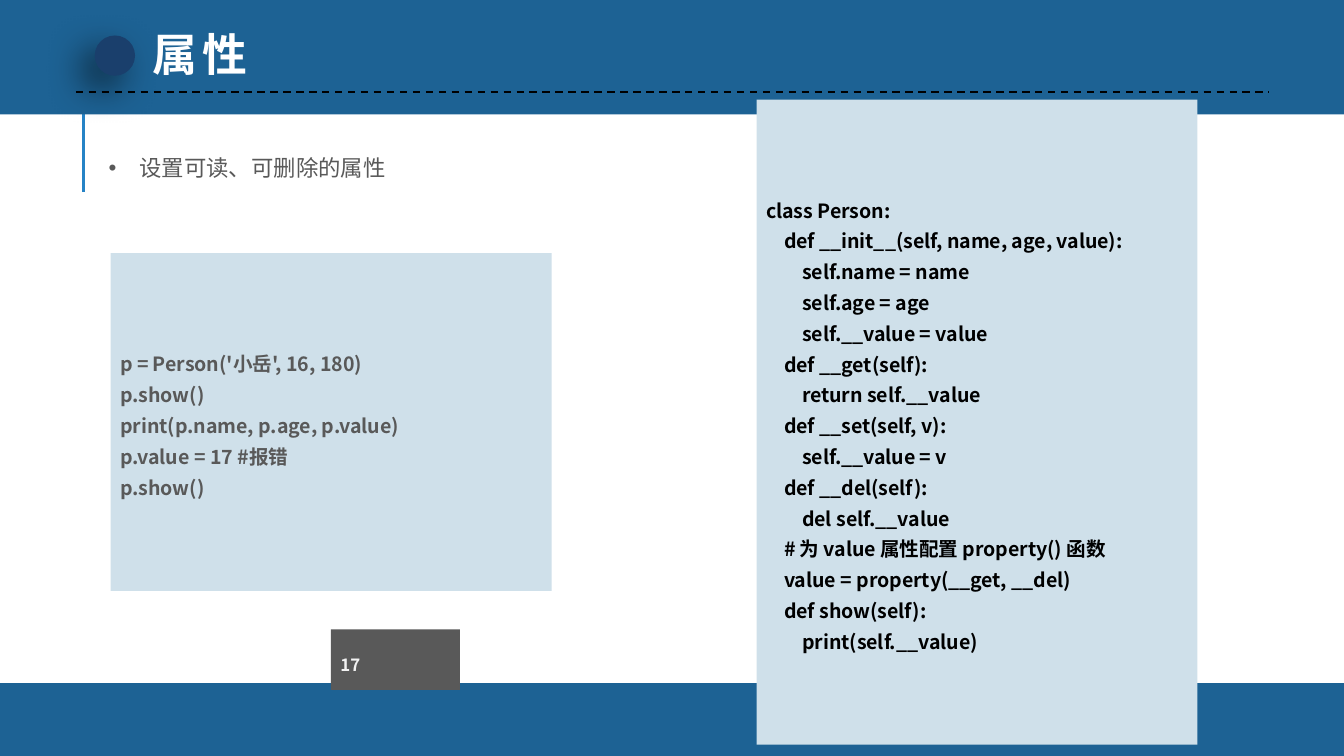
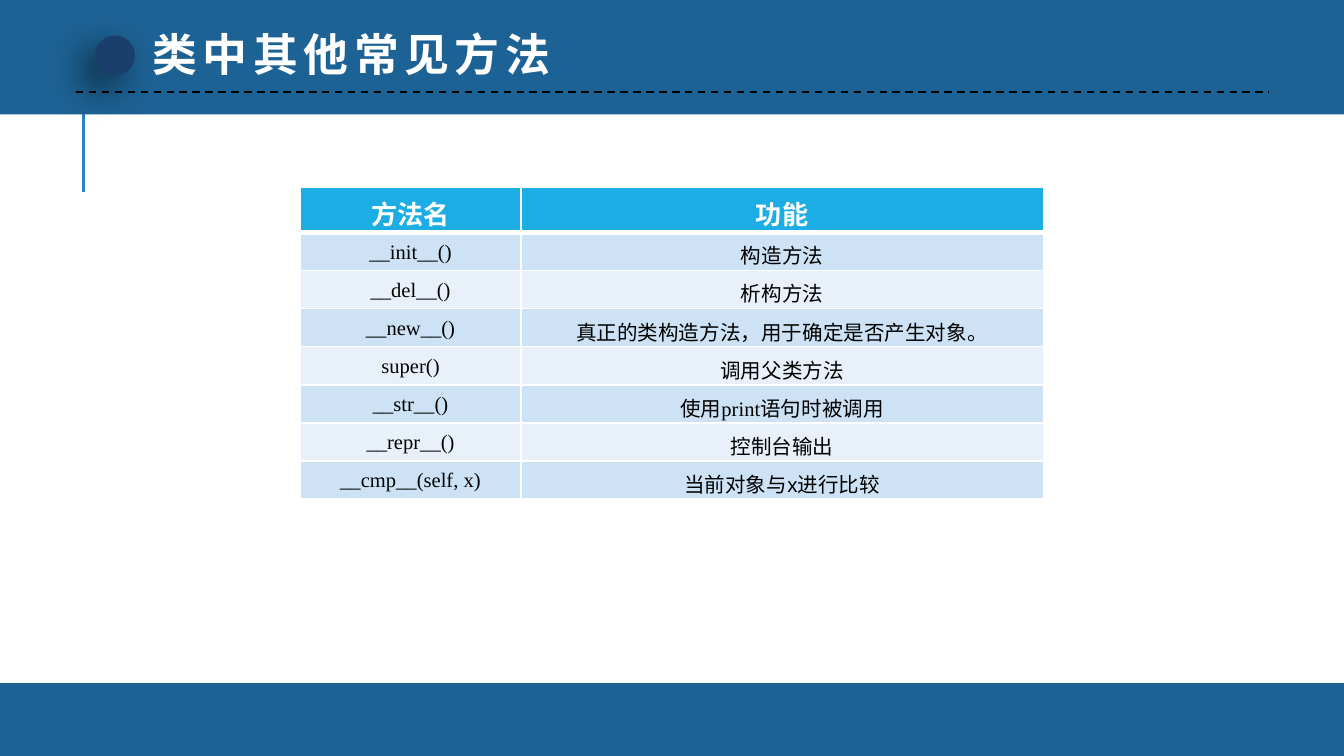
from lxml.etree import SubElement as Sub, Element
from pptx import Presentation
from pptx.dml.color import RGBColor
from pptx.enum.dml import MSO_LINE as Dash
from pptx.enum.shapes import MSO_CONNECTOR as Link, MSO_SHAPE as Form
from pptx.enum.text import MSO_ANCHOR as Anchor, MSO_AUTO_SIZE as Auto, PP_ALIGN as Align
from pptx.oxml.ns import qn
from pptx.util import Inches, Pt

SANS, SERIF, ARIAL = "Noto Sans CJK SC", "Times New Roman", "Arial"
WHITE, BLACK, GREY = "FFFFFF", "000000", "595959"
BAND, RULE, DOT, PANEL = "1D6294", "2683C6", "1A3F6C", "CFE0EA"
HEAD, ODD, EVEN = "1CADE4", "CDE3F5", "E8F1FA"

deck = Presentation()
deck.slide_width = Inches(10)
deck.slide_height = deck.slide_width * 9 // 16
CELL = deck.slide_width / 100
INSETS = (0.7, 0.4, 0.7, 0.4)


def grid(*cells):
    return [round(n * CELL) for n in cells]


def tint(code):
    return RGBColor.from_string(code)


def style(para, size, color, bold=False, face=SANS, gap=0):
    for run in para.runs:
        font = run.font
        font.size, font.bold, font.name = Pt(size), bold, face
        font.color.rgb = tint(color)
        props = run._r.get_or_add_rPr()
        Sub(props, qn("a:ea")).set("typeface", SANS)
        if gap:
            props.set("spc", str(gap * 100))


def block(slide, box, color, form=Form.RECTANGLE):
    shape = slide.shapes.add_shape(form, *grid(*box))
    shape.shadow.inherit = False
    shape.fill.solid()
    shape.fill.fore_color.rgb = tint(color)
    shape.line.fill.background()
    return shape


def rule(slide, ends, color, width, dash=None):
    line = slide.shapes.add_connector(Link.STRAIGHT, *grid(*ends))
    line.line.color.rgb = tint(color)
    line.line.width = Pt(width)
    if dash:
        line.line.dash_style = dash
    Sub(line.element.spPr, qn("a:effectLst"))
    return line


def master(slide):
    parts = [
        rule(slide, (6.23, 14.3, 6.23, 6.8), RULE, 1.5),
        block(slide, (0, 50.83, 100, 5.42), BAND),
        block(slide, (0, -0.3, 100, 8.82), BAND),
    ]
    tree = slide.slide_layout.shapes.element
    for spot, part in enumerate(parts, 2):
        tree.insert(spot, part.element)


def shade(shape):
    glow = shape.element.spPr.find(qn("a:effectLst"))
    outer = Sub(glow, qn("a:outerShdw"), blurRad=str(Pt(20)), dist=str(Pt(10)),
                dir=str(135 * 60000), algn="ctr", rotWithShape="0")
    color = Sub(outer, qn("a:srgbClr"), val=BLACK)
    Sub(color, qn("a:alpha"), val="60000")


def header(slide, text):
    rule(slide, (5.64, 6.83, 94.4, 6.83), BLACK, 1, Dash.DASH)
    shade(block(slide, (7.05, 2.64, 3, 3), DOT, Form.OVAL))
    title = slide.shapes.title
    title.left, title.top, title.width, title.height = grid(
        10.36, 1.5, 0.5 + 4.54 * len(text), 5)
    frame = title.text_frame
    frame.text = text
    frame.word_wrap, frame.auto_size = False, Auto.NONE
    frame.vertical_anchor = Anchor.MIDDLE
    para = frame.paragraphs[0]
    para.alignment = Align.LEFT
    style(para, 24, WHITE, True, gap=3)


def panel(slide, box, lines, fill, color, size=10.5, pitch=Pt(16.5)):
    frame = block(slide, box, fill).text_frame
    frame.word_wrap = True
    frame.vertical_anchor = Anchor.MIDDLE
    (frame.margin_left, frame.margin_top,
     frame.margin_right, frame.margin_bottom) = grid(*INSETS)
    frame.text = "\n".join(text for _, text in lines)
    for para, (depth, _) in zip(frame.paragraphs, lines):
        para.alignment = Align.LEFT
        para.line_spacing = pitch
        if depth:
            para._p.get_or_add_pPr().set("marL", str(grid(1.34 * depth)[0]))
        style(para, size, color, True)


def bullet(slide, box, text):
    frame = slide.shapes.add_textbox(*grid(*box)).text_frame
    frame.word_wrap = True
    frame.text = text
    para = frame.paragraphs[0]
    para.line_spacing = 2.0
    props = para._p.get_or_add_pPr()
    hang = grid(2.3)[0]
    props.set("marL", str(hang))
    props.set("indent", str(-hang))
    Sub(props, qn("a:buFont"), typeface=ARIAL)
    Sub(props, qn("a:buChar"), char="•")
    style(para, 12, GREY)


def border(cell, base):
    props = cell._tc.get_or_add_tcPr()
    for spot, side in enumerate("LRTB"):
        width = base if side == "B" else 1
        line = Element(qn("a:ln" + side), w=str(Pt(width)))
        Sub(Sub(line, qn("a:solidFill")), qn("a:srgbClr"), val=WHITE)
        props.insert(spot, line)


def matrix(slide, box, parts, rows):
    left, top, wide, high = box
    table = slide.shapes.add_table(len(rows), len(parts), *grid(*box)).table
    for col, part in zip(table.columns, parts):
        col.width = grid(wide * part / sum(parts))[0]
    first = 3.35
    rest = (high - first) / (len(rows) - 1)
    for i, row in enumerate(rows):
        table.rows[i].height = grid(rest if i else first)[0]
        for j, text in enumerate(row):
            cell = table.cell(i, j)
            cell.fill.solid()
            cell.fill.fore_color.rgb = tint((ODD if i % 2 else EVEN) if i else HEAD)
            low = j > 0 or i == 0
            cell.margin_top, cell.margin_bottom = grid(*((0.5, 0) if low else (0.3, 0.2)))
            cell.vertical_anchor = Anchor.MIDDLE
            border(cell, 1 if i else 3)
            cell.text_frame.text = text
            para = cell.text_frame.paragraphs[0]
            para.alignment = Align.CENTER
            if i == 0:
                style(para, 14, WHITE, True, ARIAL)
            else:
                last = (i, j) == (len(rows) - 1, len(row) - 1)
                style(para, 11, BLACK, face=ARIAL if last else SERIF)


CLASS = [
    (0, "class Person:"),
    (1, "def __init__(self, name, age, value):"),
    (2, "self.name = name"),
    (2, "self.age = age"),
    (2, "self.__value = value"),
    (1, "def __get(self):"),
    (2, "return self.__value"),
    (1, "def __set(self, v):"),
    (2, "self.__value = v"),
    (1, "def __del(self):"),
    (2, "del self.__value"),
    (1, "# 为 value 属性配置 property() 函数"),
    (1, "value = property(__get, __del)"),
    (1, "def show(self):"),
    (2, "print(self.__value)"),
]
USAGE = [
    (0, "p = Person('小岳', 16, 180)"),
    (0, "p.show()"),
    (0, "print(p.name, p.age, p.value)"),
    (0, "p.value = 17 #报错"),
    (0, "p.show()"),
]
METHODS = [
    ("方法名", "功能"),
    ("__init__()", "构造方法"),
    ("__del__()", "析构方法"),
    ("__new__()", "真正的类构造方法，用于确定是否产生对象。"),
    ("super()", "调用父类方法"),
    ("__str__()", "使用print语句时被调用"),
    ("__repr__()", "控制台输出"),
    ("__cmp__(self, x)", "当前对象与x进行比较"),
]

plain = deck.slide_layouts[5]
code = deck.slides.add_slide(plain)
master(code)
header(code, "属性")
panel(code, (56.3, 7.42, 32.8, 48), CLASS, PANEL, BLACK)
panel(code, (24.63, 46.83, 9.6, 4.5), [(0, "17")], GREY, "F2F2F2", 9, 1.5)
bullet(code, (7.1, 9, 85.3, 5), "设置可读、可删除的属性")
panel(code, (8.24, 18.83, 32.8, 25.14), USAGE, PANEL, GREY)

sheet = deck.slides.add_slide(plain)
header(sheet, "类中其他常见方法")
matrix(sheet, (22.35, 13.94, 55.3, 23.2), (1.64, 3.89), METHODS)

deck.save("out.pptx")
